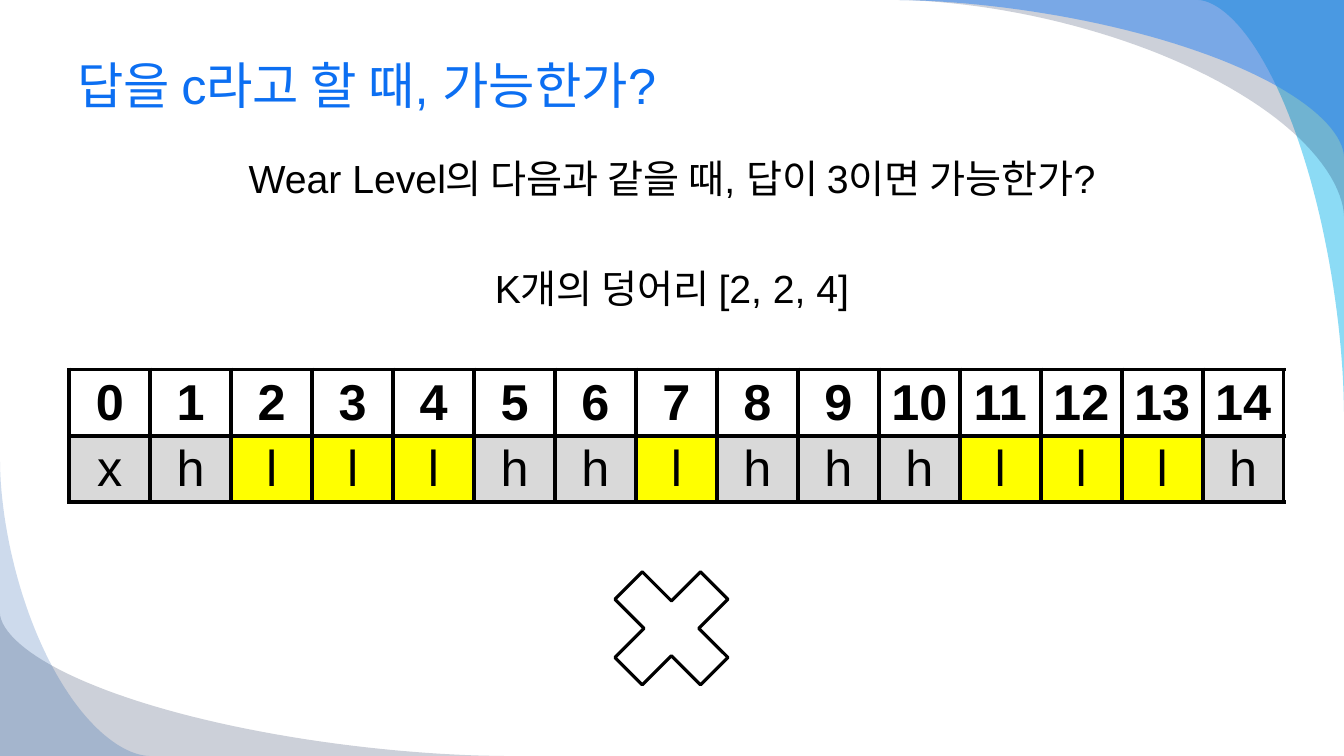
from math import cos, pi, sin

from lxml.etree import SubElement
from pptx import Presentation
from pptx.dml.color import RGBColor
from pptx.enum.shapes import MSO_SHAPE as Preset
from pptx.enum.text import MSO_ANCHOR as Anchor, MSO_AUTO_SIZE as AutoSize, PP_ALIGN as Align
from pptx.oxml.ns import qn
from pptx.util import Pt

TITLE = "답을 c라고 할 때, 가능한가?"
LINES = [
    ("Wear Level의 다음과 같을 때, 답이 3이면 가능한가?", 5.6),
    ("K개의 덩어리 [2, 2, 4]", 45),
]
WEAR_LEVELS = "xhlllhhlhhhlllh"
WEAR_FILLS = {"x": "D9D9D9", "h": "D9D9D9", "l": "FFFF00"}

WIDTH, HEIGHT = 1280, 720
SWOOSHES = [
    {"corner": (WIDTH, 0), "start_x": 1141, "end_y": 392, "fill": "00B1E9", "opacity": 45},
    {"corner": (WIDTH, 0), "start_x": 853, "end_y": 206, "fill": "021741", "opacity": 20},
    {"corner": (WIDTH, 0), "start_x": 853, "end_y": 149, "fill": "247FF4", "opacity": 49},
    {"corner": (0, HEIGHT), "start_x": 480, "end_y": 584, "fill": "021741", "opacity": 20},
    {"corner": (0, HEIGHT), "start_x": 142, "end_y": 440, "fill": "084AA1", "opacity": 20},
]
CURVE_STEPS = 48
CURVE_POWER = 2 / 1.75

TITLE_BOX = (64, 32, 1152, 97)
BODY_BOX = (64, 142, 1152, 175)
CROSS_BOX = (561, 520, 157, 157)
TABLE_LEFT, TABLE_TOP, TABLE_WIDTH, ROW_HEIGHT = 66, 352, 1157, 63


def px(length):
    return int(length * 9525)


def color(value):
    return RGBColor.from_string(value)


def place(shape, box):
    shape.left, shape.top, shape.width, shape.height = map(px, box)


def format_runs(para, size, value, bold=False):
    for span in para.runs:
        span.font.name = "Arial"
        span.font.size = Pt(size)
        span.font.bold = bold
        span.font.color.rgb = color(value)


def add_swoosh(page, layer, corner, start_x, end_y, fill, opacity):
    corner_x, corner_y = corner
    curve = []
    for step in range(CURVE_STEPS + 1):
        angle = step / CURVE_STEPS * pi / 2
        across = sin(angle) ** CURVE_POWER
        along = 1 - max(cos(angle), 0) ** CURVE_POWER
        curve.append((px(start_x + (corner_x - start_x) * across),
                      px(corner_y + (end_y - corner_y) * along)))
    builder = page.shapes.build_freeform(px(corner_x), px(corner_y))
    builder.add_line_segments(curve, close=True)
    swoosh = builder.convert_to_shape()
    swoosh.shadow.inherit = False
    swoosh.line.fill.background()
    swoosh.fill.solid()
    swoosh.fill.fore_color.rgb = color(fill)
    tint = swoosh.element.spPr.find(qn("a:solidFill"))[0]
    SubElement(tint, qn("a:alpha"), val=str(opacity * 1000))
    page.shapes.element.insert(2 + layer, swoosh.element)


def fill_text(page):
    title, body = page.placeholders
    place(title, TITLE_BOX)
    title.text_frame.text = TITLE
    title.text_frame.vertical_anchor = Anchor.MIDDLE
    title.text_frame.auto_size = AutoSize.NONE
    title.text_frame.paragraphs[0].alignment = Align.LEFT
    format_runs(title.text_frame.paragraphs[0], 36, "0C6FF2")

    place(body, BODY_BOX)
    body.text_frame.text = "\n".join(text for text, _ in LINES)
    body.text_frame.auto_size = AutoSize.NONE
    for para, (_, gap) in zip(body.text_frame.paragraphs, LINES):
        para.alignment = Align.CENTER
        para.space_before = Pt(gap)
        format_runs(para, 28, "000000")
        properties = para._p.get_or_add_pPr()
        properties.set("marL", "0")
        properties.set("indent", "0")
        SubElement(properties, qn("a:buNone"))


def format_cell(cell, text, fill, bold):
    cell.text_frame.text = text
    cell.vertical_anchor = Anchor.MIDDLE
    cell.margin_left = cell.margin_right = cell.margin_top = cell.margin_bottom = 0
    para = cell.text_frame.paragraphs[0]
    para.alignment = Align.CENTER
    format_runs(para, 36, "000000", bold)
    properties = cell._tc.get_or_add_tcPr()
    for side in ("lnL", "lnR", "lnT", "lnB"):
        border = SubElement(properties, qn(f"a:{side}"), w=str(Pt(3)))
        SubElement(SubElement(border, qn("a:solidFill")), qn("a:srgbClr"), val="000000")
    cell.fill.solid()
    cell.fill.fore_color.rgb = color(fill)


def add_wear_table(page):
    count = len(WEAR_LEVELS)
    table = page.shapes.add_table(2, count, px(TABLE_LEFT), px(TABLE_TOP),
                                  px(TABLE_WIDTH), px(2 * ROW_HEIGHT)).table
    for row in table.rows:
        row.height = px(ROW_HEIGHT)
    for index, level in enumerate(WEAR_LEVELS):
        table.columns[index].width = px(TABLE_WIDTH / count)
        format_cell(table.cell(0, index), str(index), "FFFFFF", True)
        format_cell(table.cell(1, index), level, WEAR_FILLS[level], False)


def add_cross(page):
    cross = page.shapes.add_shape(Preset.MATH_MULTIPLY, *map(px, CROSS_BOX))
    cross.shadow.inherit = False
    cross.fill.solid()
    cross.fill.fore_color.rgb = color("FFFFFF")
    cross.line.color.rgb = color("000000")
    cross.line.width = Pt(2.25)


def main():
    deck = Presentation()
    deck.slide_width, deck.slide_height = px(WIDTH), px(HEIGHT)
    page = deck.slides.add_slide(deck.slide_layouts[1])
    for layer, swoosh in enumerate(SWOOSHES):
        add_swoosh(page, layer, **swoosh)
    fill_text(page)
    add_cross(page)
    add_wear_table(page)
    deck.save("out.pptx")


if __name__ == "__main__":
    main()
